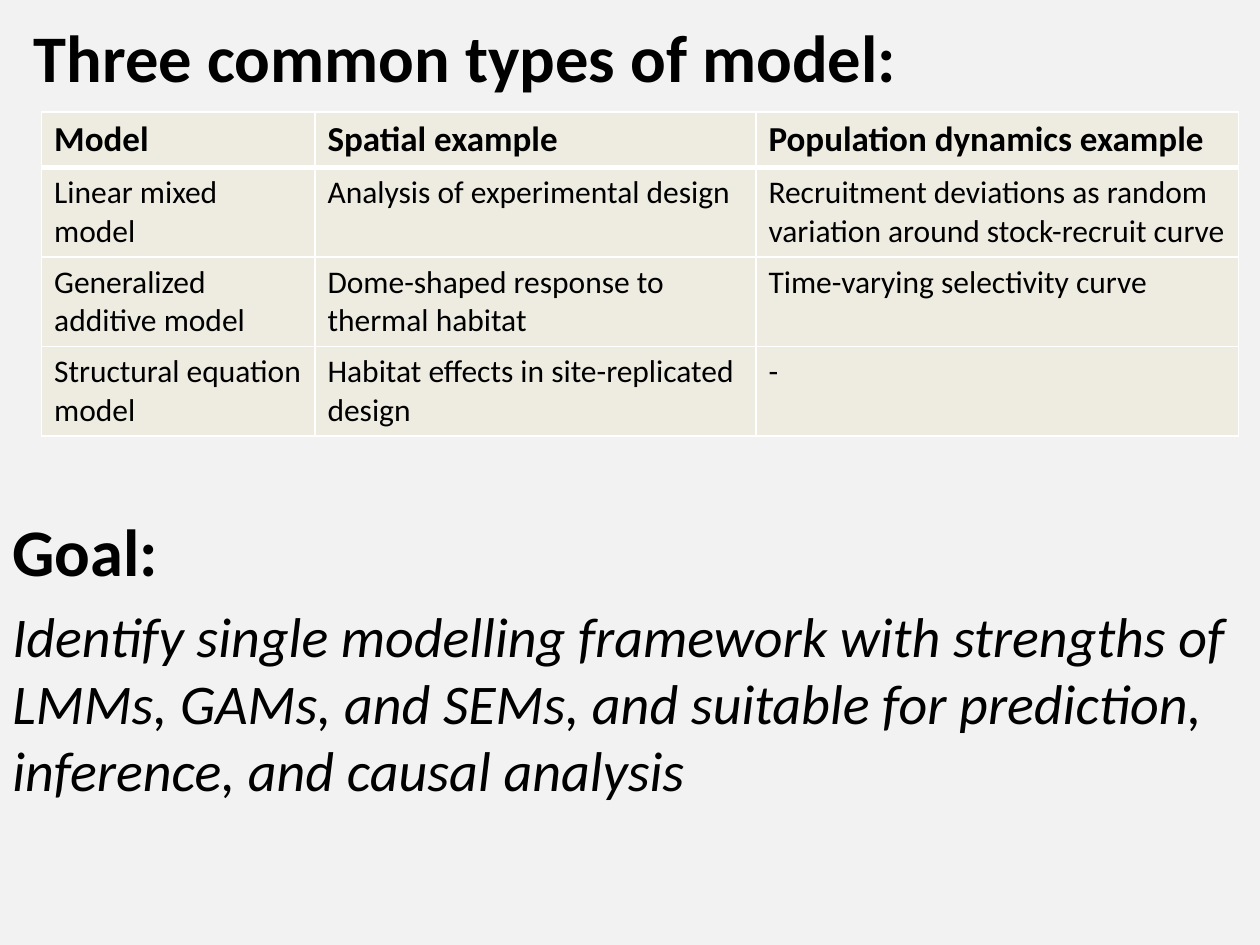
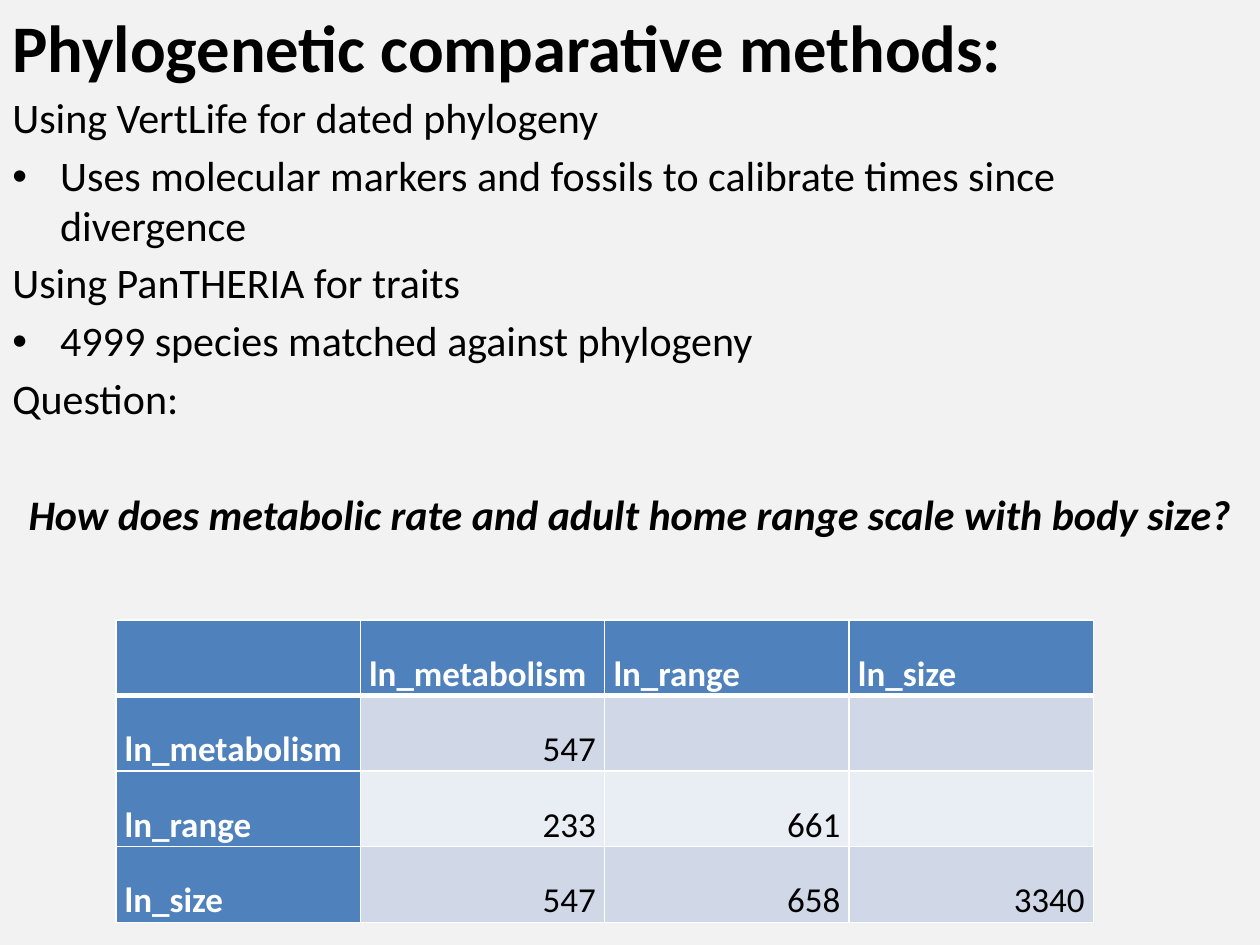
"""Build two slides on model types and phylogenetic comparative methods."""
from dataclasses import dataclass

from lxml import etree
from pptx import Presentation
from pptx.dml.color import RGBColor
from pptx.enum.text import MSO_ANCHOR, PP_ALIGN
from pptx.oxml.ns import qn
from pptx.util import Inches, Pt

LEFT, CENTER, RIGHT = PP_ALIGN.LEFT, PP_ALIGN.CENTER, PP_ALIGN.RIGHT
TOP, BOTTOM = MSO_ANCHOR.TOP, MSO_ANCHOR.BOTTOM
FONT = "Calibri"
COLORS = {
    "page": "F2F2F2",
    "text": "000000",
    "white": "FFFFFF",
    "cream": "EEECE1",
    "header": "4F81BD",
    "band_dark": "D0D8E8",
    "band_light": "E9EDF4",
}


@dataclass(frozen=True)
class Line:
    """One paragraph of body text."""
    text: str
    size: float
    bold: bool = False
    italic: bool = False
    bullet: bool = False
    align: int = LEFT
    gap: float | None = None
    spacing: float = 1.0


@dataclass(frozen=True)
class CellStyle:
    """Look of one table cell."""
    fill: str
    size: float
    color: str = "text"
    bold: bool = False
    align: int = LEFT


@dataclass(frozen=True)
class Grid:
    """Place and cell layout of one table."""
    left: float
    top: float
    columns: tuple
    rows: tuple
    anchor: int = TOP
    margin_x: float = 0.1
    margin_y: float = 0.05
    spacing: float = 1.0


def heading(text: str) -> Line:
    """Return a line in the shared title style."""
    return Line(text, 38, bold=True)


def add_span(para, text: str, size: float, color: str, bold: bool, italic: bool = False) -> None:
    """Add one formatted run to a paragraph."""
    span = para.add_run()
    span.text = text
    font = span.font
    font.name, font.size, font.bold, font.italic = FONT, Pt(size), bold, italic
    font.color.rgb = RGBColor.from_string(COLORS[color])


def add_bullet(para) -> None:
    """Give a paragraph a bullet with a hanging indent."""
    properties = para._p.get_or_add_pPr()
    properties.set("marL", str(Inches(0.38)))
    properties.set("indent", str(-Inches(0.38)))
    etree.SubElement(properties, qn("a:buFont"), typeface="Arial")
    etree.SubElement(properties, qn("a:buChar"), char="•")


def add_text(page, left: float, top: float, height: float, lines: list[Line]) -> None:
    """Add a full-width text box holding the given lines."""
    box = page.shapes.add_textbox(Inches(left), Inches(top), Inches(10), Inches(height))
    frame = box.text_frame
    frame.word_wrap = True
    for index, line in enumerate(lines):
        para = frame.add_paragraph() if index else frame.paragraphs[0]
        if line.bullet:
            add_bullet(para)
        para.alignment = line.align
        para.line_spacing = line.spacing
        if index:
            para.space_before = Pt(line.size * 0.2 if line.gap is None else line.gap)
        add_span(para, line.text, line.size, "text", line.bold, line.italic)


def add_borders(cell, row: int) -> None:
    """Draw white cell borders, thicker below the header row."""
    properties = cell._tc.get_or_add_tcPr()
    widths = {"lnL": 1, "lnR": 1, "lnT": 3 if row == 1 else 1, "lnB": 3 if row == 0 else 1}
    for tag, width in widths.items():
        border = etree.SubElement(properties, qn(f"a:{tag}"), w=str(Pt(width)))
        fill = etree.SubElement(border, qn("a:solidFill"))
        etree.SubElement(fill, qn("a:srgbClr"), val=COLORS["white"])


def add_grid(page, grid: Grid, texts: list, style_for) -> None:
    """Add a table whose cells are styled by row and column."""
    frame = page.shapes.add_table(
        len(grid.rows), len(grid.columns), Inches(grid.left), Inches(grid.top),
        Inches(sum(grid.columns)), Inches(sum(grid.rows)))
    table = frame.table
    table.first_row = table.horz_banding = False
    for column, width in zip(table.columns, grid.columns):
        column.width = Inches(width)
    for row, height in zip(table.rows, grid.rows):
        row.height = Inches(height)
    for row, values in enumerate(texts):
        for column, text in enumerate(values):
            cell, style = table.cell(row, column), style_for(row, column)
            add_borders(cell, row)
            cell.fill.solid()
            cell.fill.fore_color.rgb = RGBColor.from_string(COLORS[style.fill])
            cell.vertical_anchor = grid.anchor
            cell.margin_left = cell.margin_right = Inches(grid.margin_x)
            cell.margin_top = cell.margin_bottom = Inches(grid.margin_y)
            if text:
                para = cell.text_frame.paragraphs[0]
                para.alignment = style.align
                para.line_spacing = grid.spacing
                add_span(para, text, style.size, style.color, style.bold)


def model_style(row: int, column: int) -> CellStyle:
    """Style the table of model types."""
    return CellStyle("cream", 18 if row else 20, bold=row == 0)


def count_style(row: int, column: int) -> CellStyle:
    """Style the table of species counts."""
    if row == 0 or column == 0:
        return CellStyle("header", 20, "white", True)
    return CellStyle("band_dark" if row % 2 else "band_light", 20, align=RIGHT)


def add_page(deck):
    """Add a blank slide with the shared background."""
    page = deck.slides.add_slide(deck.slide_layouts[6])
    page.background.fill.solid()
    page.background.fill.fore_color.rgb = RGBColor.from_string(COLORS["page"])
    return page


def build_models(deck) -> None:
    """Build the slide on types of model."""
    page = add_page(deck)
    add_text(page, 0, 4, 3.5, [
        heading("Goal:"),
        Line("Identify single modelling framework with strengths of LMMs, GAMs, and SEMs, "
             "and suitable for prediction, inference, and causal analysis", 32, italic=True),
    ])
    add_grid(page, Grid(0.33, 0.89, (2.17, 3.5, 3.83), (0.44, 0.71, 0.71, 0.71)), [
        ("Model", "Spatial example", "Population dynamics example"),
        ("Linear mixed model", "Analysis of experimental design",
         "Recruitment deviations as random variation around stock-recruit curve"),
        ("Generalized additive model", "Dome-shaped response to thermal habitat",
         "Time-varying selectivity curve"),
        ("Structural equation model", "Habitat effects in site-replicated design", "-"),
    ], model_style)
    add_text(page, 0.17, 0.08, 0.75, [heading("Three common types of model:")])


def build_phylogeny(deck) -> None:
    """Build the slide on phylogenetic comparative methods."""
    page = add_page(deck)
    body = {"size": 24, "spacing": 0.98}
    add_text(page, 0, 0, 4.6, [
        heading("Phylogenetic comparative methods:"),
        Line("Using VertLife for dated phylogeny", **body),
        Line("Uses molecular markers and fossils to calibrate times since divergence",
             bullet=True, **body),
        Line("Using PanTHERIA for traits", **body),
        Line("4999 species matched against phylogeny", bullet=True, **body),
        Line("Question:", **body),
        Line("How does metabolic rate and adult home range scale with body size?",
             bold=True, italic=True, align=CENTER, gap=38, **body),
    ])
    traits = ("ln_metabolism", "ln_range", "ln_size")
    counts = (("547", "", ""), ("233", "661", ""), ("547", "658", "3340"))
    texts = [("", *traits)] + [(trait, *values) for trait, values in zip(traits, counts)]
    grid = Grid(0.92, 4.92, (1.94,) * 4, (0.6,) * 4, BOTTOM, 0.07, 0, 1.07)
    add_grid(page, grid, texts, count_style)


def main() -> None:
    """Build and save the deck."""
    deck = Presentation()
    deck.slide_width, deck.slide_height = Inches(10), Inches(7.5)
    build_models(deck)
    build_phylogeny(deck)
    deck.save("out.pptx")


if __name__ == "__main__":
    main()
